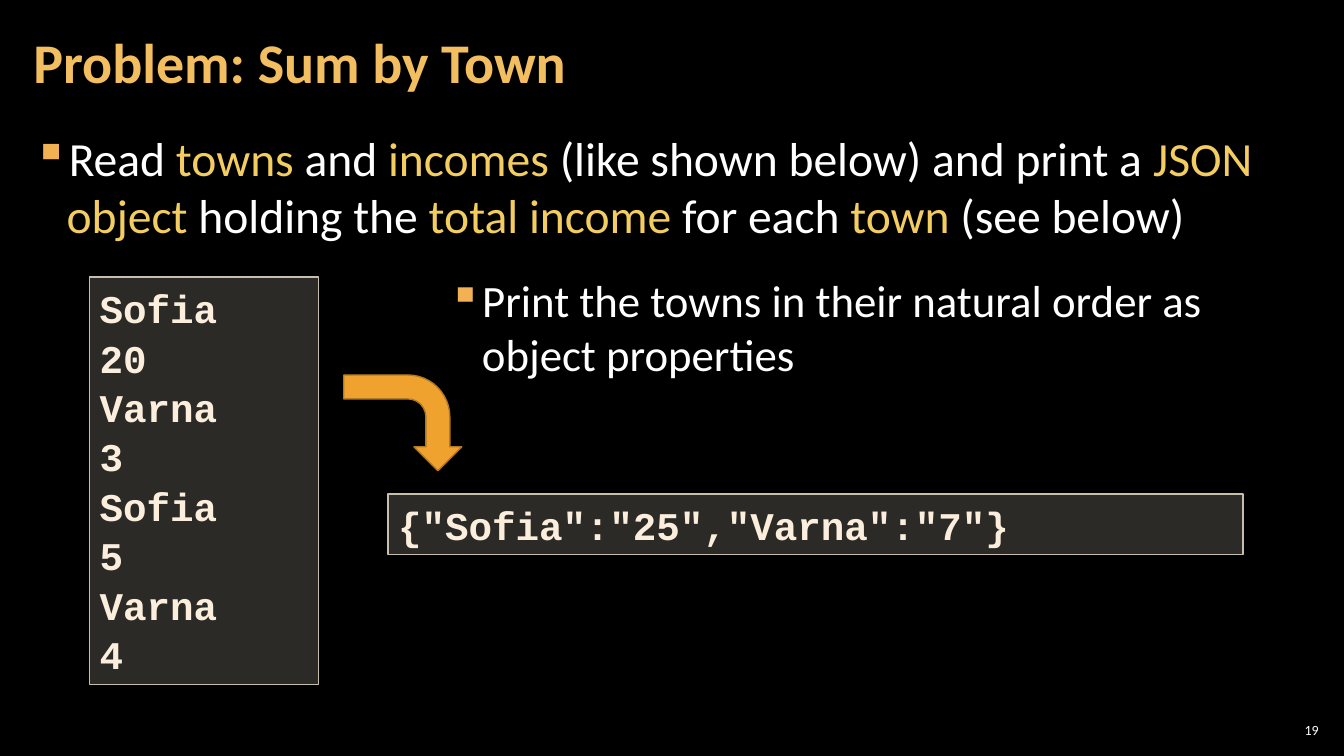
from lxml import etree
from pptx import Presentation
from pptx.dml.color import RGBColor
from pptx.enum.shapes import MSO_SHAPE as Shape
from pptx.enum.text import MSO_ANCHOR as Anchor, MSO_AUTO_SIZE as AutoSize, PP_ALIGN as Align
from pptx.oxml.ns import qn
from pptx.util import Inches, Pt

BLACK = RGBColor(0x00, 0x00, 0x00)
WHITE = RGBColor(0xFF, 0xFF, 0xFF)
TITLE_GOLD = RGBColor(0xF3, 0xBE, 0x60)
KEYWORD_GOLD = RGBColor(0xF3, 0xCD, 0x60)
BULLET_GOLD = RGBColor(0xF2, 0xB2, 0x54)
CODE_FILL = RGBColor(0xD9, 0xD5, 0xC7)
CODE_LINE = RGBColor(0xC7, 0xBF, 0xAC)
CODE_TEXT = RGBColor(0xFB, 0xEE, 0xDC)
ARROW_FILL = RGBColor(0xF0, 0xA2, 0x2E)
ARROW_LINE = RGBColor(0xB2, 0x78, 0x22)

TASK = ["Read ", "towns", " and ", "incomes", " (like shown below) and print a ",
        "JSON object ", "holding the ", "total income", " for each ", "town", " (see below)"]
ORDER_NOTE = ["Print the towns in their natural order as object properties"]
INPUT_LINES = ["Sofia", "20", "Varna", "3", "Sofia", "5", "Varna", "4"]
OUTPUT_LINES = ['{"Sofia":"25","Varna":"7"}']


def set_frame(frame, side_inset, anchor=Anchor.TOP):
    frame.word_wrap = True
    frame.auto_size = AutoSize.NONE
    frame.vertical_anchor = anchor
    frame.margin_left = frame.margin_right = Inches(side_inset)
    frame.margin_top = frame.margin_bottom = Inches(0.04)


def set_font(paragraph, name, size, color, bold=False):
    font = paragraph.font
    font.name, font.size, font.bold = name, Pt(size), bold
    font.color.rgb = color


def add_bullet(paragraph):
    properties = paragraph._p.get_or_add_pPr()
    properties.set("marL", str(Inches(0.33)))
    properties.set("indent", str(-Inches(0.33)))
    color = etree.SubElement(properties, qn("a:buClr"))
    etree.SubElement(color, qn("a:srgbClr"), val=str(BULLET_GOLD))
    etree.SubElement(properties, qn("a:buChar"), char="▪")


def add_title(slide, left, top, width, height):
    title = slide.shapes.title
    title.left, title.top, title.width, title.height = map(Inches, (left, top, width, height))
    set_frame(title.text_frame, 0.12, Anchor.MIDDLE)
    title.text_frame.text = "Problem: Sum by Town"
    paragraph = title.text_frame.paragraphs[0]
    paragraph.alignment = Align.LEFT
    paragraph.line_spacing = 0.9
    set_font(paragraph, "Calibri", 40, TITLE_GOLD, bold=True)


def add_bullet_text(slide, parts, size, left, top, width, height):
    """Add one bullet whose every second part is a highlighted keyword."""
    box = slide.shapes.add_textbox(*map(Inches, (left, top, width, height)))
    set_frame(box.text_frame, 0.12)
    paragraph = box.text_frame.paragraphs[0]
    add_bullet(paragraph)
    set_font(paragraph, "Calibri", size, WHITE)
    for index, part in enumerate(parts):
        run = paragraph.add_run()
        run.text = part
        if index % 2:
            run.font.color.rgb = KEYWORD_GOLD


def add_code_box(slide, lines, left, top, width, height):
    box = slide.shapes.add_shape(Shape.RECTANGLE, *map(Inches, (left, top, width, height)))
    box.shadow.inherit = False
    box.fill.solid()
    box.fill.fore_color.rgb = CODE_FILL
    color = box.fill._xPr.find(qn("a:solidFill"))[0]
    etree.SubElement(color, qn("a:alpha"), val="20000")
    box.line.color.rgb = CODE_LINE
    box.line.width = Pt(1)
    frame = box.text_frame
    frame.word_wrap = True
    frame.auto_size = AutoSize.SHAPE_TO_FIT_TEXT
    frame.vertical_anchor = Anchor.TOP
    frame.text = "\n".join(lines)
    for paragraph in frame.paragraphs:
        paragraph.alignment = Align.LEFT
        paragraph.line_spacing = 1.05
        set_font(paragraph, "Courier New", 28, CODE_TEXT, bold=True)


def add_arrow(slide, left, top, width, height):
    arrow = slide.shapes.add_shape(Shape.BENT_ARROW, *map(Inches, (left, top, width, height)))
    arrow.rotation = 90
    arrow.shadow.inherit = False
    arrow.fill.solid()
    arrow.fill.fore_color.rgb = ARROW_FILL
    arrow.line.color.rgb = ARROW_LINE
    arrow.line.width = Pt(1)


def add_slide_number(slide, left, top, width, height):
    box = slide.shapes.add_textbox(*map(Inches, (left, top, width, height)))
    set_frame(box.text_frame, 0.04, Anchor.MIDDLE)
    box.text_frame.text = "19"
    paragraph = box.text_frame.paragraphs[0]
    paragraph.alignment = Align.RIGHT
    set_font(paragraph, "Calibri", 10, WHITE)


def main():
    presentation = Presentation()
    presentation.slide_width = Inches(13.33)
    presentation.slide_height = Inches(7.5)
    slide = presentation.slides.add_slide(presentation.slide_layouts[5])
    slide.background.fill.solid()
    slide.background.fill.fore_color.rgb = BLACK

    add_title(slide, 0.21, 0.04, 10.47, 1.21)
    add_bullet_text(slide, TASK, 34, 0.21, 1.24, 12.91, 1.4)
    add_code_box(slide, OUTPUT_LINES, 3.85, 4.9, 8.48, 0.6)
    add_code_box(slide, INPUT_LINES, 0.89, 2.75, 2.27, 4.04)
    add_arrow(slide, 3.52, 3.61, 0.95, 1.17)
    add_bullet_text(slide, ORDER_NOTE, 32, 4.33, 2.67, 7.75, 1.33)
    add_slide_number(slide, 12.65, 7.14, 0.47, 0.21)
    presentation.save("out.pptx")


if __name__ == "__main__":
    main()
